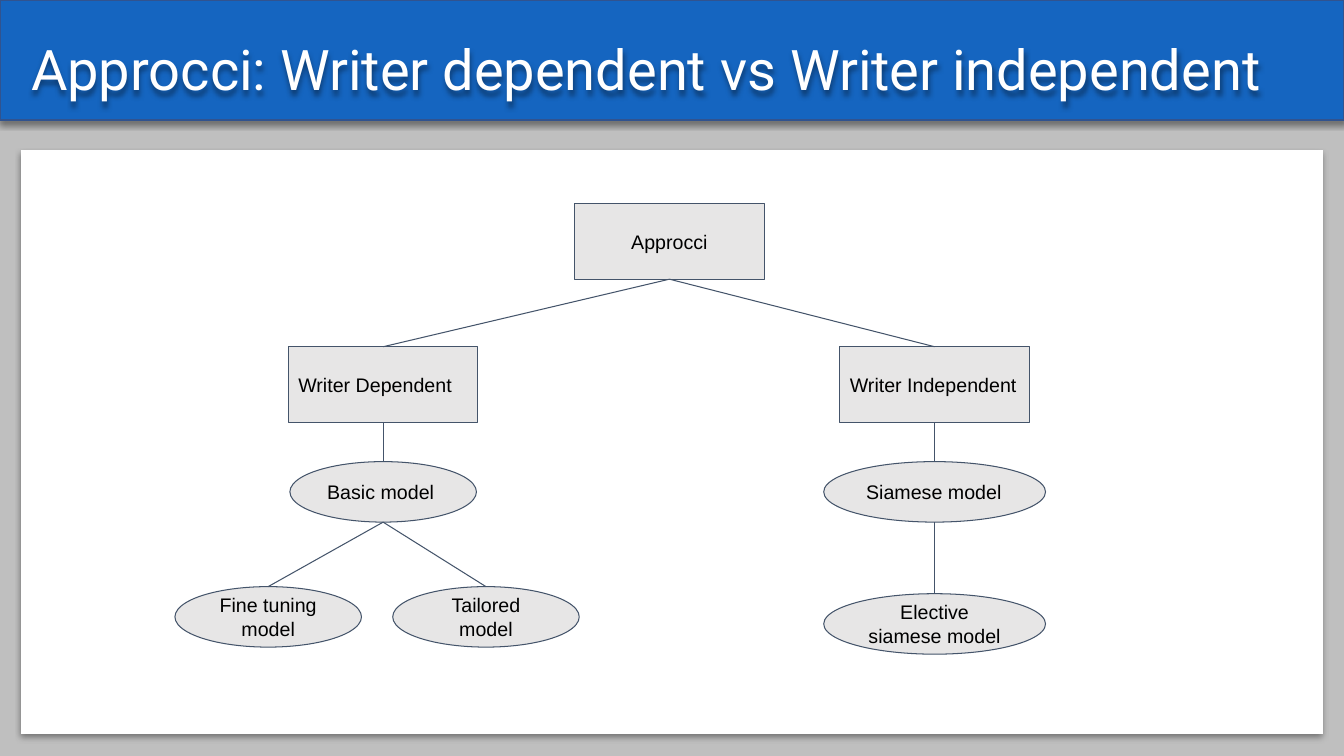
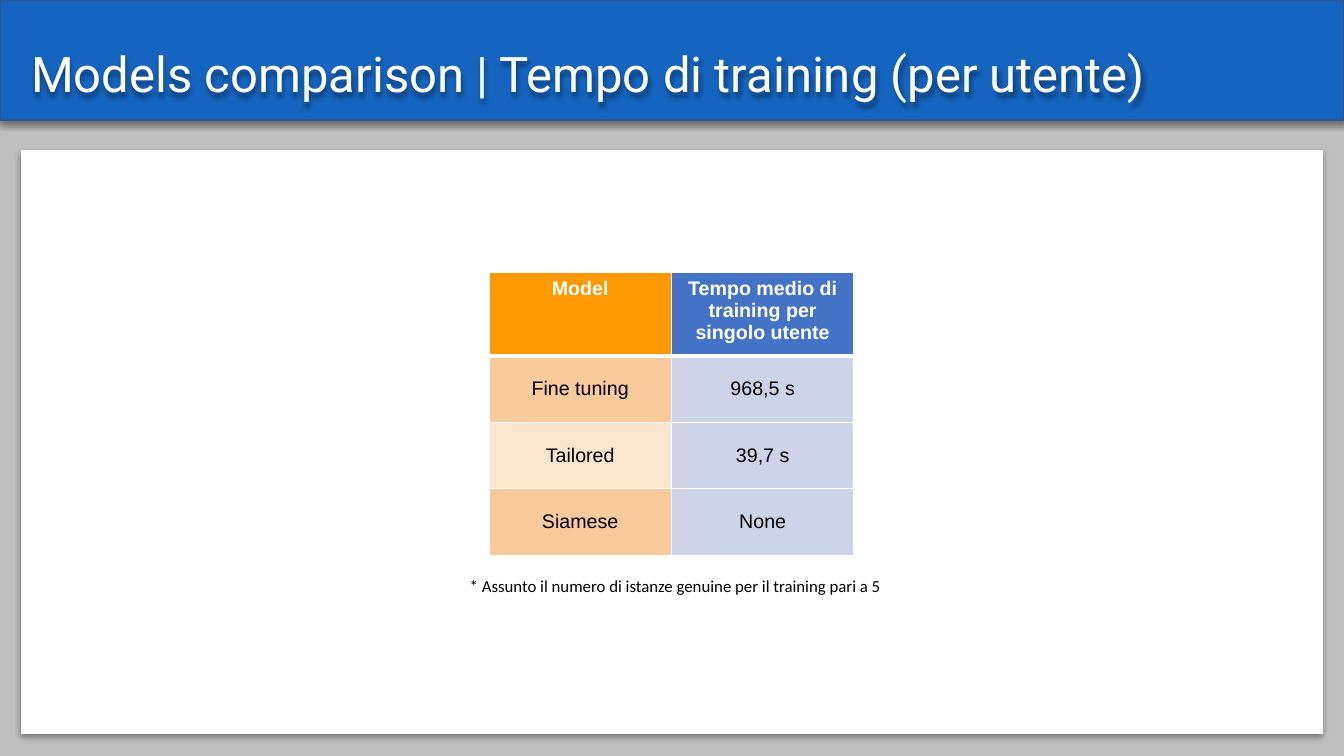
from lxml import etree
from pptx import Presentation
from pptx import util as u
from pptx.dml.color import RGBColor
from pptx.enum import shapes, text
from pptx.oxml.ns import qn

COLORS = {
    "background": "BFBFBF", "band": "1565C0", "band_line": "31538F",
    "white": "FFFFFF", "black": "000000", "node": "E7E6E6",
    "node_line": "44546A", "orange": "FF9900", "orange_mid": "F9CB9C",
    "orange_light": "FCE5CD", "blue": "4472C4", "blue_light": "CDD4EA",
}
LEFT, CENTER = text.PP_ALIGN.LEFT, text.PP_ALIGN.CENTER
TOP, MIDDLE, BOTTOM = (text.MSO_ANCHOR.TOP, text.MSO_ANCHOR.MIDDLE,
                       text.MSO_ANCHOR.BOTTOM)
RECT, OVAL = shapes.MSO_SHAPE.RECTANGLE, shapes.MSO_SHAPE.OVAL
LABEL = {"name": "Arial", "size": u.Pt(14), "bold": False}
HEADER = {**LABEL, "bold": True}
NOTE = {"name": "Calibri", "size": u.Pt(12)}

WD_X, WI_X = 3.8, 9.27
NODES = {
    "root": ("Approcci", RECT, 6.64, 2.02, 1.88, CENTER),
    "dependent": ("Writer Dependent", RECT, WD_X, 3.44, 1.88, LEFT),
    "independent": ("Writer Independent", RECT, WI_X, 3.44, 1.88, LEFT),
    "basic": ("Basic model", OVAL, WD_X, 4.58, 1.85, LEFT),
    "siamese": ("Siamese model", OVAL, WI_X, 4.58, 2.2, LEFT),
    "fine": ("Fine tuning model", OVAL, 2.66, 5.82, 1.85, CENTER),
    "tailored": ("Tailored model", OVAL, 4.82, 5.82, 1.85, CENTER),
    "elective": ("Elective siamese model", OVAL, WI_X, 5.89, 2.2, CENTER),
}
HEIGHTS = {RECT: 0.75, OVAL: 0.6}
EDGES = [
    ("root", "dependent"), ("root", "independent"),
    ("dependent", "basic"), ("independent", "siamese"),
    ("basic", "fine"), ("basic", "tailored"), ("siamese", "elective"),
]
ROWS = [
    ("Model", "Tempo medio di training per singolo utente"),
    ("Fine tuning", "968,5 s"),
    ("Tailored", "39,7 s"),
    ("Siamese", "None"),
]
ROW_FILLS = [
    ("orange", "blue"), ("orange_mid", "blue_light"),
    ("orange_light", "blue_light"), ("orange_mid", "blue_light"),
]


def rgb(key):
    return RGBColor.from_string(COLORS[key])


def paint(fill, key):
    fill.solid()
    fill.fore_color.rgb = rgb(key)


def set_text(tf, value, font, color="black", align=LEFT):
    p = tf.paragraphs[0]
    p.alignment = align
    r = p.add_run()
    r.text = value
    for name, setting in font.items():
        setattr(r.font, name, setting)
    r.font.color.rgb = rgb(color)
    return p


def set_frame(tf, anchor, inset_y):
    formats = {
        "word_wrap": True, "vertical_anchor": anchor,
        "margin_left": u.Inches(0.1), "margin_right": u.Inches(0.1),
        "margin_top": u.Inches(inset_y), "margin_bottom": u.Inches(inset_y),
    }
    for name, setting in formats.items():
        setattr(tf, name, setting)


def add_shadow(sp):
    effects = sp._element.spPr.find(qn("a:effectLst"))
    shadow = etree.SubElement(
        effects, qn("a:outerShdw"), blurRad=str(u.Pt(4)), dist=str(u.Pt(3)),
        dir="5400000", algn="t", rotWithShape="0")
    color = etree.SubElement(shadow, qn("a:srgbClr"), val=COLORS["black"])
    etree.SubElement(color, qn("a:alpha"), val="40000")


def add_box(s, kind, box, fill, line=None, width=1):
    sp = s.shapes.add_shape(kind, *map(u.Inches, box))
    sp.shadow.inherit = False
    paint(sp.fill, fill)
    if line:
        sp.line.color.rgb = rgb(line)
        sp.line.width = u.Pt(width)
    else:
        sp.line.fill.background()
    return sp


def add_textbox(s, box, anchor, inset_y):
    sp = s.shapes.add_textbox(*map(u.Inches, box))
    set_frame(sp.text_frame, anchor, inset_y)
    return sp


def add_slide(prs, title, size):
    s = prs.slides.add_slide(prs.slide_layouts[6])
    paint(s.background.fill, "background")
    add_shadow(add_box(s, RECT, (0, 0, 13.33, 1.19), "band", "band_line"))
    sp = add_textbox(s, (0.21, 0.19, 12.91, 0.88), BOTTOM, 0.05)
    sp.shadow.inherit = False
    add_shadow(sp)
    font = {"name": "Roboto", "size": u.Pt(size)}
    set_text(sp.text_frame, title, font, "white").line_spacing = 0.9
    add_shadow(add_box(s, RECT, (0.21, 1.49, 12.91, 5.79), "white"))
    return s


def add_node(s, label, kind, center, top, width, align):
    box = (center - width / 2, top, width, HEIGHTS[kind])
    sp = add_box(s, kind, box, "node", "node_line", 0.75)
    set_frame(sp.text_frame, MIDDLE, 0.1)
    set_text(sp.text_frame, label, LABEL, align=align)
    return sp


def add_edge(s, parent, child):
    cn = s.shapes.add_connector(
        shapes.MSO_CONNECTOR.STRAIGHT,
        parent.left + parent.width // 2, parent.top + parent.height,
        child.left + child.width // 2, child.top)
    if parent.auto_shape_type == RECT:
        cn.begin_connect(parent, 2)
    cn.end_connect(child, 0)
    cn.line.color.rgb = rgb("node_line")
    cn.line.width = u.Pt(0.75)
    etree.SubElement(cn._element.spPr, qn("a:effectLst"))


def add_borders(cell, top, bottom):
    tc_pr = cell._tc.get_or_add_tcPr()
    for side, width in {"L": 1, "R": 1, "T": top, "B": bottom}.items():
        ln = etree.SubElement(tc_pr, qn(f"a:ln{side}"), w=str(u.Pt(width)))
        fill = etree.SubElement(ln, qn("a:solidFill"))
        etree.SubElement(fill, qn("a:srgbClr"), val=COLORS["white"])


def add_times_table(s):
    tb = s.shapes.add_table(
        len(ROWS), 2, *map(u.Inches, (4.85, 2.7, 3.62, 2.81))).table
    for col in tb.columns:
        col.width = u.Inches(1.81)
    for i, (values, fills) in enumerate(zip(ROWS, ROW_FILLS)):
        header = i == 0
        tb.rows[i].height = u.Inches(0.83 if header else 0.66)
        for j, (value, fill) in enumerate(zip(values, fills)):
            cell = tb.cell(i, j)
            add_borders(cell, 3 if i == 1 else 1, 3 if header else 1)
            paint(cell.fill, fill)
            cell.vertical_anchor = TOP if header else MIDDLE
            set_text(cell.text_frame, value, HEADER if header else LABEL,
                     "white" if header else "black", CENTER)


def add_approaches_slide(prs):
    s = add_slide(prs, "Approcci: Writer dependent vs Writer independent", 40)
    nodes = {key: add_node(s, *node) for key, node in NODES.items()}
    for parent, child in EDGES:
        add_edge(s, nodes[parent], nodes[child])


def add_training_slide(prs):
    s = add_slide(
        prs, "Models comparison | Tempo di training (per utente)", 35)
    add_times_table(s)
    sp = add_textbox(s, (4.56, 5.61, 4.91, 0.4), TOP, 0.1)
    set_text(sp.text_frame,
             "* Assunto il numero di istanze genuine per il training pari a 5",
             NOTE)


def main():
    prs = Presentation()
    prs.slide_width, prs.slide_height = u.Inches(13.33), u.Inches(7.5)
    add_approaches_slide(prs)
    add_training_slide(prs)
    prs.save("out.pptx")


if __name__ == "__main__":
    main()
